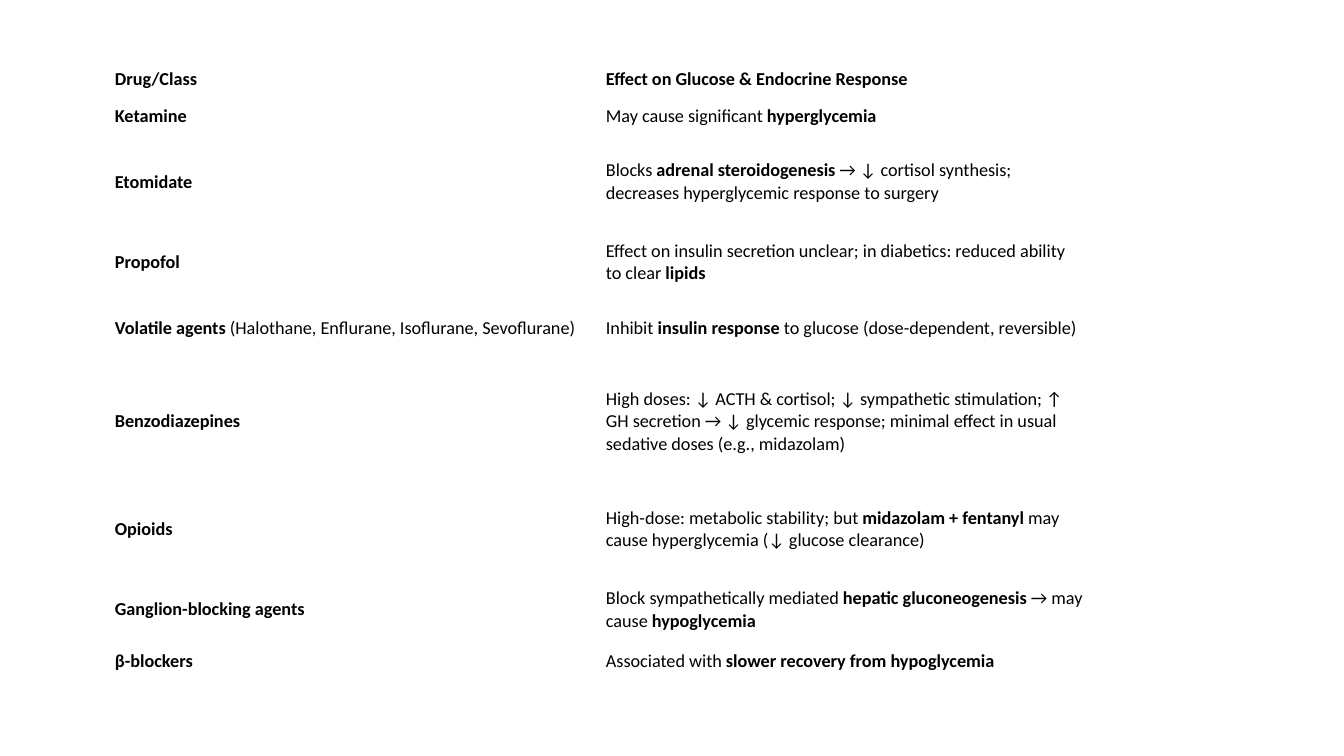
from dataclasses import dataclass

from pptx import Presentation
from pptx.dml.color import RGBColor
from pptx.enum.text import MSO_ANCHOR
from pptx.util import Pt

EMU_PER_PX = 9144


@dataclass(frozen=True)
class Theme:
    font: str = "Calibri"
    text_color: str = "000000"
    body_size: int = 13


def px(length):
    return length * EMU_PER_PX


def add_text(paragraph, text, *, font, size, color, bold=False):
    run = paragraph.add_run()
    run.text = text
    run.font.name = font
    run.font.size = Pt(size)
    run.font.color.rgb = RGBColor.from_string(color)
    run.font.bold = bold


class SlideBuilder:
    def __init__(self, slide, theme):
        self.slide = slide
        self.theme = theme

    def rich_text(self, paragraph, marked_text):
        for index, part in enumerate(marked_text.split("**")):
            if part:
                add_text(paragraph, part, font=self.theme.font, size=self.theme.body_size,
                         color=self.theme.text_color, bold=index % 2 == 1)

    def cell(self, cell, marked_text):
        cell.fill.background()
        cell.vertical_anchor = MSO_ANCHOR.MIDDLE
        cell.margin_left = cell.margin_right = px(7)
        cell.margin_top = cell.margin_bottom = px(4)
        self.rich_text(cell.text_frame.paragraphs[0], marked_text)

    def table(self, left, top, column_widths, row_heights, rows):
        frame = self.slide.shapes.add_table(
            len(rows), len(column_widths), px(left), px(top),
            px(sum(column_widths)), px(sum(row_heights)))
        table = frame.table
        table.first_row = False
        table.horz_banding = False
        for column, width in zip(table.columns, column_widths):
            column.width = px(width)
        for row, height, texts in zip(table.rows, row_heights, rows):
            row.height = px(height)
            for cell, marked_text in zip(row.cells, texts):
                self.cell(cell, marked_text)


DRUG_EFFECTS = [
    ("**Drug/Class**", "**Effect on Glucose & Endocrine Response**"),
    ("**Ketamine**", "May cause significant **hyperglycemia**"),
    ("**Etomidate**",
     "Blocks **adrenal steroidogenesis** → ↓ cortisol synthesis; "
     "decreases hyperglycemic response to surgery"),
    ("**Propofol**",
     "Effect on insulin secretion unclear; in diabetics: "
     "reduced ability to clear **lipids**"),
    ("**Volatile agents** (Halothane, Enflurane, Isoflurane, Sevoflurane)",
     "Inhibit **insulin response** to glucose (dose-dependent, reversible)"),
    ("**Benzodiazepines**",
     "High doses: ↓ ACTH & cortisol; ↓ sympathetic stimulation; "
     "↑ GH secretion → ↓ glycemic response; "
     "minimal effect in usual sedative doses (e.g., midazolam)"),
    ("**Opioids**",
     "High-dose: metabolic stability; but **midazolam + fentanyl** "
     "may cause hyperglycemia (↓ glucose clearance)"),
    ("**Ganglion-blocking agents**",
     "Block sympathetically mediated **hepatic gluconeogenesis** "
     "→ may cause **hypoglycemia**"),
    ("**β-blockers**", "Associated with **slower recovery from hypoglycemia**"),
]
ROW_HEIGHTS = [37, 37, 93, 66, 65, 121, 93, 66, 37]


def main():
    presentation = Presentation()
    presentation.slide_width = px(1333)
    presentation.slide_height = px(750)
    slide = presentation.slides.add_slide(presentation.slide_layouts[6])
    builder = SlideBuilder(slide, Theme())
    builder.table(107, 60, [487, 487], ROW_HEIGHTS, DRUG_EFFECTS)
    presentation.save("out.pptx")


if __name__ == "__main__":
    main()
